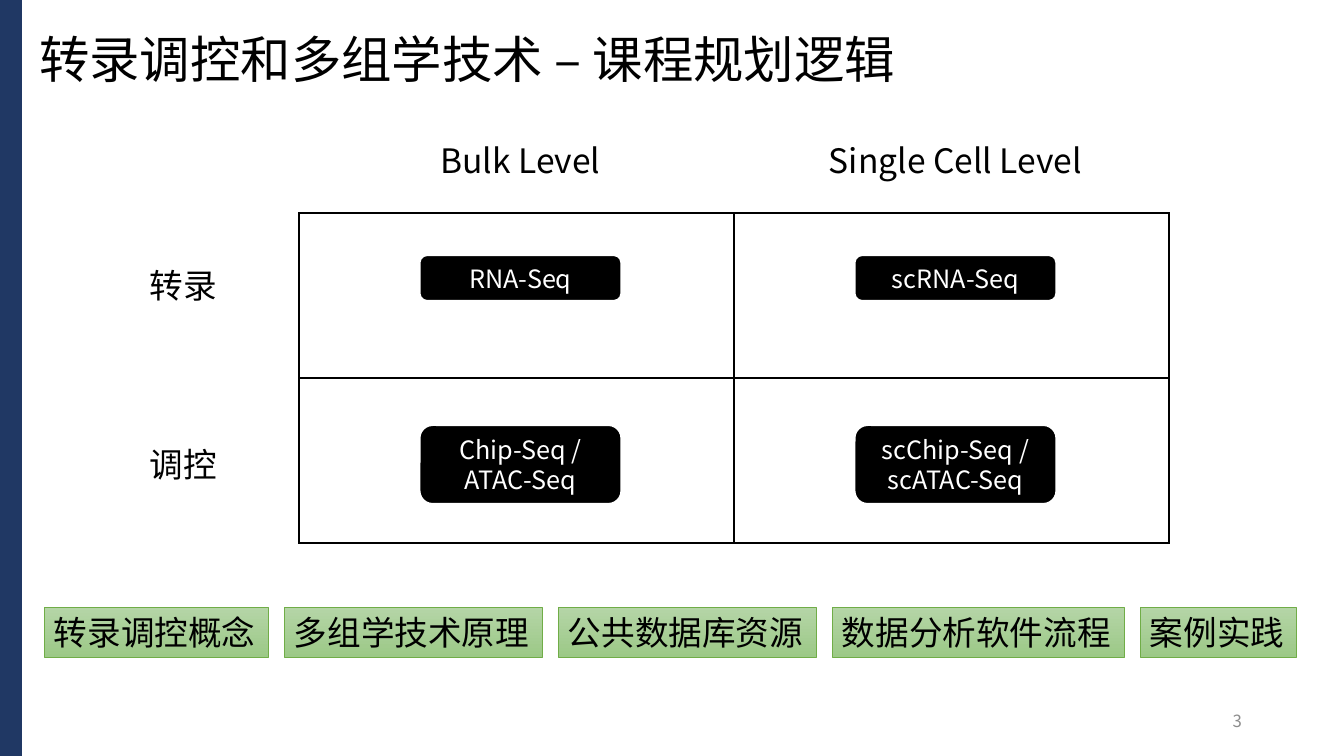
import pptx
import pptx.util
import pptx.dml.color
import pptx.enum.shapes
import pptx.enum.text
import pptx.oxml
import pptx.oxml.ns
import pptx.oxml.xmlchemy

TITLE = "转录调控和多组学技术 – 课程规划逻辑"
COLUMNS = [("Bulk Level", 182), ("Single Cell Level", 282)]
ROWS = [("转录", 260), ("调控", 439)]
METHODS = [["RNA-Seq", "scRNA-Seq"], ["Chip-Seq / ATAC-Seq", "scChip-Seq / scATAC-Seq"]]
PILLS = [(255, 46), (425, 79)]
TOPICS = ["转录调控概念", "多组学技术原理", "公共数据库资源", "数据分析软件流程", "案例实践"]
PAGE = "3"

FONT = "Noto Sans CJK SC"
COLORS = {"bar": "203864", "black": "000000", "white": "FFFFFF", "page": "8C8C8C",
          "green_top": "B5D5A7", "green_bottom": "9CC987", "green_line": "70AD47"}
PX = 914400 / 100.8
GRID_LEFT, GRID_TOP, COL_W, ROW_H = 299, 213, 435, 165
CENTER_SHIFT, PILL_W, LABEL_H = 4, 202, 50
TOPIC_LEFT, TOPIC_TOP, TOPIC_GAP, CHAR_W, TOPIC_PAD = 44, 607, 16, 34, 20

SHAPE = pptx.enum.shapes.MSO_SHAPE
LEFT, CENTER, RIGHT = (getattr(pptx.enum.text.PP_ALIGN, n) for n in ("LEFT", "CENTER", "RIGHT"))
TOP, MIDDLE = pptx.enum.text.MSO_ANCHOR.TOP, pptx.enum.text.MSO_ANCHOR.MIDDLE


def px(*values):
    return [round(v * PX) for v in values]


def rgb(name):
    return pptx.dml.color.RGBColor.from_string(COLORS[name])


def write(sp, text, size, color="black", align=LEFT, anchor=TOP, wrap=False):
    tf = sp.text_frame
    frame = {"word_wrap": wrap, "vertical_anchor": anchor,
             "auto_size": pptx.enum.text.MSO_AUTO_SIZE.NONE}
    for key, value in frame.items():
        setattr(tf, key, value)
    p = tf.paragraphs[0]
    p.alignment = align
    r = p.add_run()
    r.text = text
    for key, value in {"name": FONT, "size": pptx.util.Pt(size), "bold": False}.items():
        setattr(r.font, key, value)
    r.font.color.rgb = rgb(color)
    ea = pptx.oxml.xmlchemy.OxmlElement("a:ea")
    ea.set("typeface", FONT)
    r.font._element.append(ea)
    return p


def add_box(s, kind, *box):
    sp = s.shapes.add_shape(kind, *px(*box))
    sp.shadow.inherit = False
    return sp


def add_label(s, box, text, size, **style):
    write(s.shapes.add_textbox(*px(*box)), text, size, **style)


def add_grid(s):
    frame = s.shapes.add_table(2, 2, *px(GRID_LEFT, GRID_TOP, 2 * COL_W, 2 * ROW_H))
    table = frame.table
    table.first_row = table.horz_banding = False
    for col in table.columns:
        col.width = px(COL_W)[0]
    for row in table.rows:
        row.height = px(ROW_H)[0]
    for cell in table.iter_cells():
        tcPr = cell._tc.get_or_add_tcPr()
        for side in "LRTB":
            tcPr.append(pptx.oxml.parse_xml(
                f'<a:ln{side} {pptx.oxml.ns.nsdecls("a")} w="12700"><a:solidFill>'
                f'<a:srgbClr val="{COLORS["black"]}"/></a:solidFill></a:ln{side}>'))
        cell.fill.background()


def add_pill(s, text, center, top, height):
    sp = add_box(s, SHAPE.ROUNDED_RECTANGLE, center - PILL_W / 2, top, PILL_W, height)
    sp.fill.solid()
    sp.fill.fore_color.rgb = rgb("black")
    sp.line.color.rgb = rgb("white")
    sp.line.width = pptx.util.Pt(1.5)
    write(sp, text, 18, color="white", align=CENTER, anchor=MIDDLE, wrap=True)


def add_topic(s, text, left, width):
    sp = add_box(s, SHAPE.RECTANGLE, left, TOPIC_TOP, width, LABEL_H)
    sp.fill.gradient()
    sp.fill.gradient_angle = 270
    for stop, name in zip(sp.fill.gradient_stops, ("green_top", "green_bottom")):
        stop.color.rgb = rgb(name)
    sp.line.color.rgb = rgb("green_line")
    sp.line.width = pptx.util.Pt(0.5)
    write(sp, text, 24)


def main():
    prs = pptx.Presentation()
    prs.slide_width, prs.slide_height = px(1344, 756)
    s = prs.slides.add_slide(prs.slide_layouts[5])
    title = s.shapes.title
    for key, value in zip(("left", "top", "width", "height"), px(29, 13, 888, 98)):
        setattr(title, key, value)
    write(title, TITLE, 36, anchor=MIDDLE, wrap=True).line_spacing = 0.9

    bar = add_box(s, SHAPE.RECTANGLE, 0, 0, 22, 756)
    bar.fill.solid()
    bar.fill.fore_color.rgb = rgb("bar")
    bar.line.fill.background()

    add_grid(s)
    centers = [GRID_LEFT + COL_W * (i + 0.5) + CENTER_SHIFT for i in range(len(COLUMNS))]
    for center, (text, width) in zip(centers, COLUMNS):
        add_label(s, (center - width / 2, 135, width, LABEL_H), text, 24, align=CENTER)
    for (text, top), methods, pill in zip(ROWS, METHODS, PILLS):
        add_label(s, (140, top, 89, LABEL_H), text, 24)
        for center, method in zip(centers, methods):
            add_pill(s, method, center, *pill)

    left = TOPIC_LEFT
    for text in TOPICS:
        width = CHAR_W * len(text) + TOPIC_PAD
        add_topic(s, text, left, width)
        left += width + TOPIC_GAP
    add_label(s, (950, 701, 302, 40), PAGE, 12, color="page", align=RIGHT,
              anchor=MIDDLE, wrap=True)
    prs.save("out.pptx")


if __name__ == "__main__":
    main()
